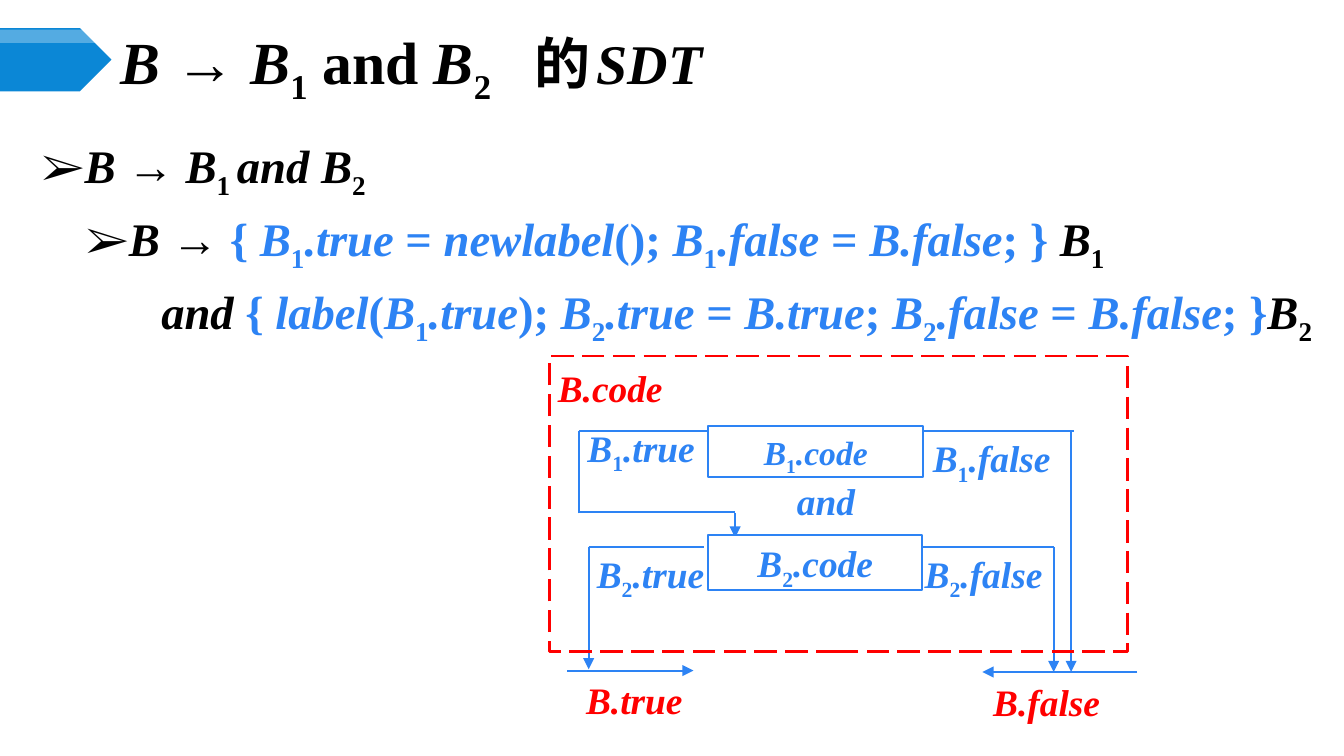
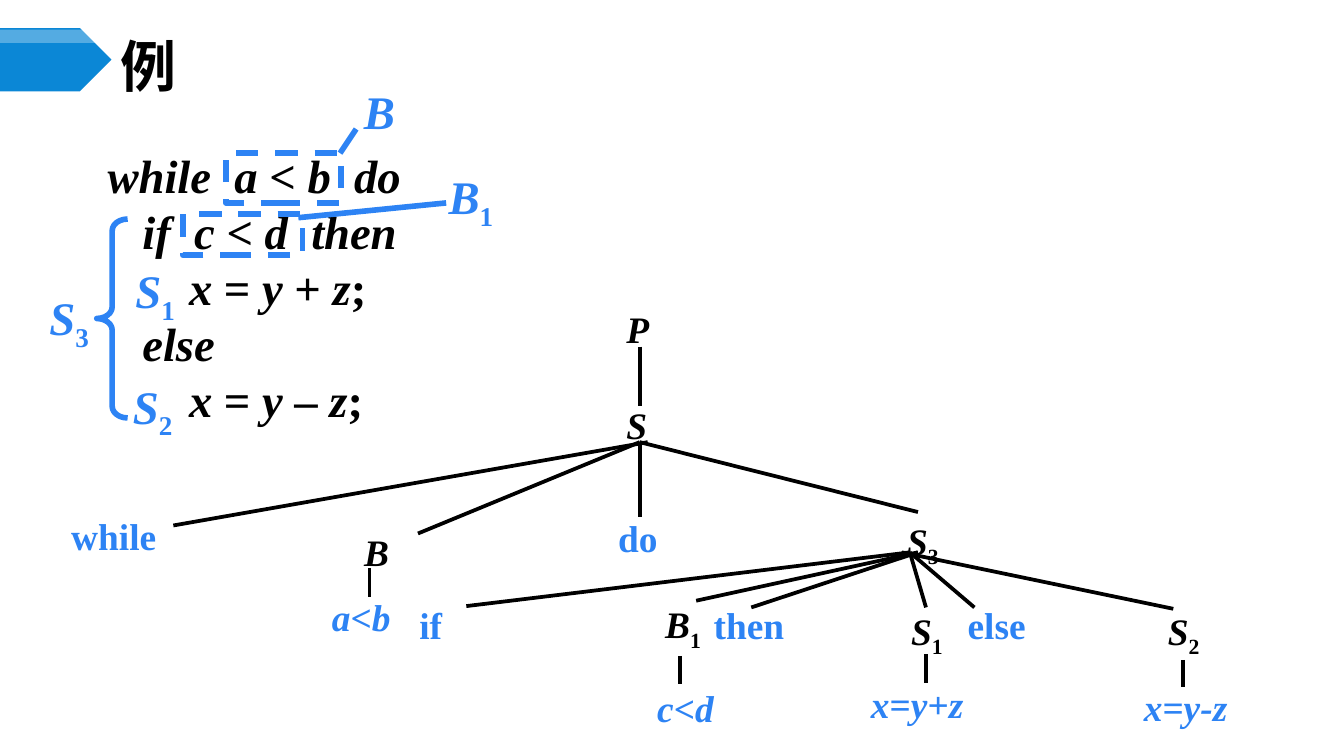
from itertools import groupby

from lxml import etree
from pptx import Presentation
from pptx import util as u
from pptx.dml.color import RGBColor
from pptx.enum import dml, shapes, text
from pptx.oxml.ns import qn

COLORS = {"ink": "000000", "accent": "2D83F4", "alert": "FF0000",
          "banner": "0B87D6", "paper": "FFFFFF"}
LATIN = "Times New Roman"
CJK = "Noto Sans CJK SC"
SNUG = (0.07, 0.04)
ROOMY = (0.1, 0.05)
TIGHT = (0.07, 0.01)
ITALIC, ACCENT, LOWER = "*~_"


def color(name):
    return RGBColor.from_string(COLORS[name])


def place(left, top, width, height):
    return [u.Inches(value) for value in (left, top, width, height)]


def styled_chars(markup):
    italic = accent = lowered = False
    for char in markup:
        if char == ITALIC:
            italic = not italic
        elif char == ACCENT:
            accent = not accent
        elif char == LOWER:
            lowered = True
        else:
            yield char, (italic and not lowered, accent, lowered)
            lowered = False


def write(paragraph, markup, size, ink="ink"):
    for style, chars in groupby(styled_chars(markup), key=lambda pair: pair[1]):
        italic, accent, lowered = style
        run = paragraph.add_run()
        run.text = "".join(char for char, _ in chars)
        font = run.font
        font.name, font.size, font.bold, font.italic = LATIN, u.Pt(size), True, italic
        font.color.rgb = color("accent" if accent else ink)
        properties = run._r.get_or_add_rPr()
        etree.SubElement(properties, qn("a:ea"), typeface=CJK)
        if lowered:
            properties.set("baseline", "-25000")


def frame_text(shape, inset, anchor=text.MSO_ANCHOR.TOP):
    frame = shape.text_frame
    frame.auto_size = text.MSO_AUTO_SIZE.NONE
    frame.word_wrap = True
    frame.vertical_anchor = anchor
    frame.margin_left = frame.margin_right = u.Inches(inset[0])
    frame.margin_top = frame.margin_bottom = u.Inches(inset[1])
    return frame


def add_label(slide, box, markup, size=20, ink="accent", inset=SNUG, spacing=None):
    frame = frame_text(slide.shapes.add_textbox(*place(*box)), inset)
    paragraph = frame.paragraphs[0]
    if spacing:
        paragraph.line_spacing = spacing
    write(paragraph, markup, size, ink)


def add_outline(slide, preset, box, ink, width, dash=None):
    shape = slide.shapes.add_shape(preset, *place(*box))
    shape.shadow.inherit = False
    shape.fill.background()
    shape.line.color.rgb = color(ink)
    shape.line.width = u.Pt(width)
    if dash:
        shape.line.dash_style = dash
    return shape


def add_code_box(slide, box, markup, size):
    shape = add_outline(slide, shapes.MSO_SHAPE.RECTANGLE, box, "accent", 1)
    shape.fill.solid()
    shape.fill.fore_color.rgb = color("paper")
    paragraph = frame_text(shape, SNUG).paragraphs[0]
    paragraph.alignment = text.PP_ALIGN.CENTER
    write(paragraph, markup, size, "accent")


def add_line(slide, start, end, ink="accent", width=1, arrow=False):
    line = slide.shapes.add_connector(
        shapes.MSO_CONNECTOR.STRAIGHT, *place(*start, *end))
    line.line.color.rgb = color(ink)
    line.line.width = u.Pt(width)
    if arrow:
        etree.SubElement(line.line._get_or_add_ln(), qn("a:tailEnd"), type="triangle")
    etree.SubElement(line._element.spPr, qn("a:effectLst"))


def add_banner(slide):
    for box, ink, opacity in (((0, 0.21, 0.83, 0.47), "banner", 100),
                              ((0, 0.22, 0.83, 0.1), "paper", 30)):
        band = slide.shapes.add_shape(shapes.MSO_SHAPE.PENTAGON, *place(*box))
        band.shadow.inherit = False
        band.line.fill.background()
        band.fill.solid()
        band.fill.fore_color.rgb = color(ink)
        if opacity < 100:
            tint = band._element.spPr.find(qn("a:solidFill"))[0]
            etree.SubElement(tint, qn("a:alpha"), val=str(opacity * 1000))


def start_slide(deck, heading, size):
    slide = deck.slides.add_slide(deck.slide_layouts[5])
    add_banner(slide)
    title = slide.shapes.title
    title.left, title.top, title.width, title.height = place(0.83, 0.29, 8.67, 0.39)
    paragraph = frame_text(title, SNUG, text.MSO_ANCHOR.MIDDLE).paragraphs[0]
    paragraph.alignment = text.PP_ALIGN.LEFT
    write(paragraph, heading, size)
    return slide, paragraph


def add_rules(slide, rules):
    frame = frame_text(slide.shapes.add_textbox(*place(0.24, 0.98, 9.76, 3.53)), SNUG)
    for index, (margin, bullet, markup) in enumerate(rules):
        paragraph = frame.add_paragraph() if index else frame.paragraphs[0]
        properties = paragraph._p.get_or_add_pPr()
        properties.set("marL", str(u.Inches(margin)))
        if bullet:
            properties.set("indent", str(u.Inches(-0.3)))
            etree.SubElement(properties, qn("a:buFont"), typeface=LATIN)
            etree.SubElement(properties, qn("a:buChar"), char=bullet)
        if index:
            paragraph.space_before = u.Pt(5)
        write(paragraph, markup, 25)


def add_code(slide, lines):
    frame = frame_text(slide.shapes.add_textbox(*place(0.72, 1.12, 3.92, 1.68)),
                       (0.08, 0.04))
    for index, markup in enumerate(lines):
        paragraph = frame.add_paragraph() if index else frame.paragraphs[0]
        paragraph.line_spacing = u.Pt(25)
        if index:
            paragraph.space_before = u.Pt(5)
        write(paragraph, markup, 25)


def add_flow(slide):
    for start, end in (
            ((4.38, 4.07), (5.24, 4.07)), ((6.87, 4.07), (7.84, 4.07)),
            ((4.31, 3.21), (5.27, 3.21)), ((6.83, 3.21), (7.99, 3.21)),
            ((4.31, 3.82), (4.31, 3.21)), ((5.47, 3.81), (4.31, 3.81))):
        add_line(slide, start, end)
    for start, end in (
            ((4.38, 4.07), (4.38, 4.98)), ((5.47, 3.82), (5.47, 4)),
            ((7.97, 3.21), (7.97, 5)), ((7.84, 4.07), (7.84, 5)),
            ((8.46, 5), (7.31, 5)), ((4.22, 4.99), (5.16, 4.99))):
        add_line(slide, start, end, arrow=True)
    add_outline(slide, shapes.MSO_SHAPE.RECTANGLE, (4.09, 2.65, 4.3, 2.2),
                "alert", 1.5, dml.MSO_LINE.LONG_DASH)
    add_code_box(slide, (5.27, 3.17, 1.6, 0.38), "*B*_1*.code*", 18)
    add_code_box(slide, (5.27, 3.98, 1.59, 0.41), "*B*_2*.code*", 20)
    for left, top, width, markup, ink in (
            (4.3, 3.12, 1.05, "*B*_1*.true*", "accent"),
            (6.87, 3.2, 1.28, "*B*_1*.false*", "accent"),
            (4.37, 4.06, 1.01, "*B*_2*.true*", "accent"),
            (6.81, 4.06, 1.42, "*B*_2*.false*", "accent"),
            (5.86, 3.52, 0.62, "*and*", "accent"),
            (4.08, 2.68, 0.99, "*B.code*", "alert"),
            (4.29, 5, 1.12, "*B.true*", "alert"),
            (7.32, 5.01, 1.3, "*B.false*", "alert")):
        add_label(slide, (left, top, width, 0.41), markup, ink=ink)


def add_code_marks(slide):
    for left, top, width, markup in (
            (0.91, 1.9, 0.76, "*S*_1"), (0.89, 2.76, 0.69, "*S*_2"),
            (0.27, 2.1, 0.63, "*S*_3"), (2.61, 0.57, 0.47, "*B*"),
            (3.24, 1.2, 0.73, "*B*_1")):
        add_label(slide, (left, top, width, 0.52), markup, 25, inset=ROOMY)
    brace = add_outline(slide, shapes.MSO_SHAPE.LEFT_BRACE,
                        (0.72, 1.63, 0.23, 1.48), "accent", 3)
    brace.adjustments[0] = 0.376
    for box in ((1.68, 1.14, 0.86, 0.37), (1.36, 1.59, 0.89, 0.31)):
        add_outline(slide, shapes.MSO_SHAPE.RECTANGLE, box, "accent", 3,
                    dml.MSO_LINE.DASH)
    add_line(slide, (2.65, 0.96), (2.53, 1.14), width=3)
    add_line(slide, (3.32, 1.51), (2.22, 1.62), width=3)


def add_tree(slide):
    fans = (
        (3.29, ((4.82, 1.29, 3.91), (4.76, 3.11, 3.97), (4.76, 6.83, 3.81))),
        (4.11, ((6.77, 3.47, 4.51), (6.83, 5.18, 4.47), (6.83, 5.59, 4.52),
                (6.77, 6.89, 4.52), (6.77, 7.25, 4.52), (6.71, 8.73, 4.53))))
    for parent_y, branches in fans:
        for parent_x, child_x, child_y in branches:
            add_line(slide, (parent_x, parent_y), (child_x, child_y), "ink", 2)
    for x, top, bottom in ((4.76, 2.58, 3.02), (4.76, 3.29, 3.85), (2.75, 4.23, 4.44),
                           (5.06, 4.88, 5.09), (6.89, 4.87, 5.08), (8.8, 4.91, 5.11)):
        add_line(slide, (x, top), (x, bottom), "ink", 2)
    for left, top, markup in ((4.59, 2.33, "*P*"), (4.59, 3.05, "*S*"),
                              (2.64, 3.99, "*B*"), (6.68, 3.88, "*S*_3"),
                              (4.88, 4.5, "*B*_1"), (6.71, 4.55, "*S*_1"),
                              (8.62, 4.55, "*S*_2")):
        add_label(slide, (left, top, 0.47, 0.3), markup, ink="ink",
                  inset=TIGHT, spacing=0.8)
    for left, top, width, markup in (
            (0.46, 3.81, 0.83, "while"), (4.53, 3.82, 0.47, "do"),
            (3.05, 4.47, 0.47, "if"), (5.24, 4.47, 0.71, "then"),
            (7.13, 4.47, 0.59, "else"), (2.4, 4.41, 0.65, "*a*<*b*"),
            (4.82, 5.09, 0.65, "*c<d*"), (6.41, 5.06, 0.89, "*x*=*y*+*z*"),
            (8.44, 5.08, 0.89, "*x=y-z*")):
        add_label(slide, (left, top, width, 0.27), markup, inset=TIGHT)


def main():
    deck = Presentation()
    deck.slide_width, deck.slide_height = u.Inches(10), u.Inches(5.625)

    scheme, heading = start_slide(deck, "*B *→* B*_1 and* B*_2\t的*SDT*", 32)
    tabs = etree.SubElement(heading._p.get_or_add_pPr(), qn("a:tabLst"))
    etree.SubElement(tabs, qn("a:tab"), pos=str(u.Inches(3.08)), algn="l")
    for run in heading.runs[-2:]:
        run.font.size = u.Pt(30)
    heading.runs[-2]._r.get_or_add_rPr().set("spc", "300")
    add_rules(scheme, (
        (0.3, "➢", "*B* →* B*_1_ *and B*_2"),
        (0.63, "➢", "*B* → ~{ *B*_1*.true *= *newlabel*(); "
                    "*B*_1*.false *= *B.false*; } ~*B*_1"),
        (0.89, None, "*and *~{ *label*(*B*_1*.true*); *B*_2*.true* = *B.true*; "
                     "*B*_2*.false* = *B.false*; }~*B*_2")))
    add_flow(scheme)

    example, _ = start_slide(deck, "例", 30)
    add_code(example, (
        "*while  a *< *b  do*",
        "   *if  c *< *d  then*",
        "       *x *= *y* + *z*;",
        "   *else*",
        "       *x* = *y* – *z*;"))
    add_code_marks(example)
    add_tree(example)

    deck.save("out.pptx")


if __name__ == "__main__":
    main()
